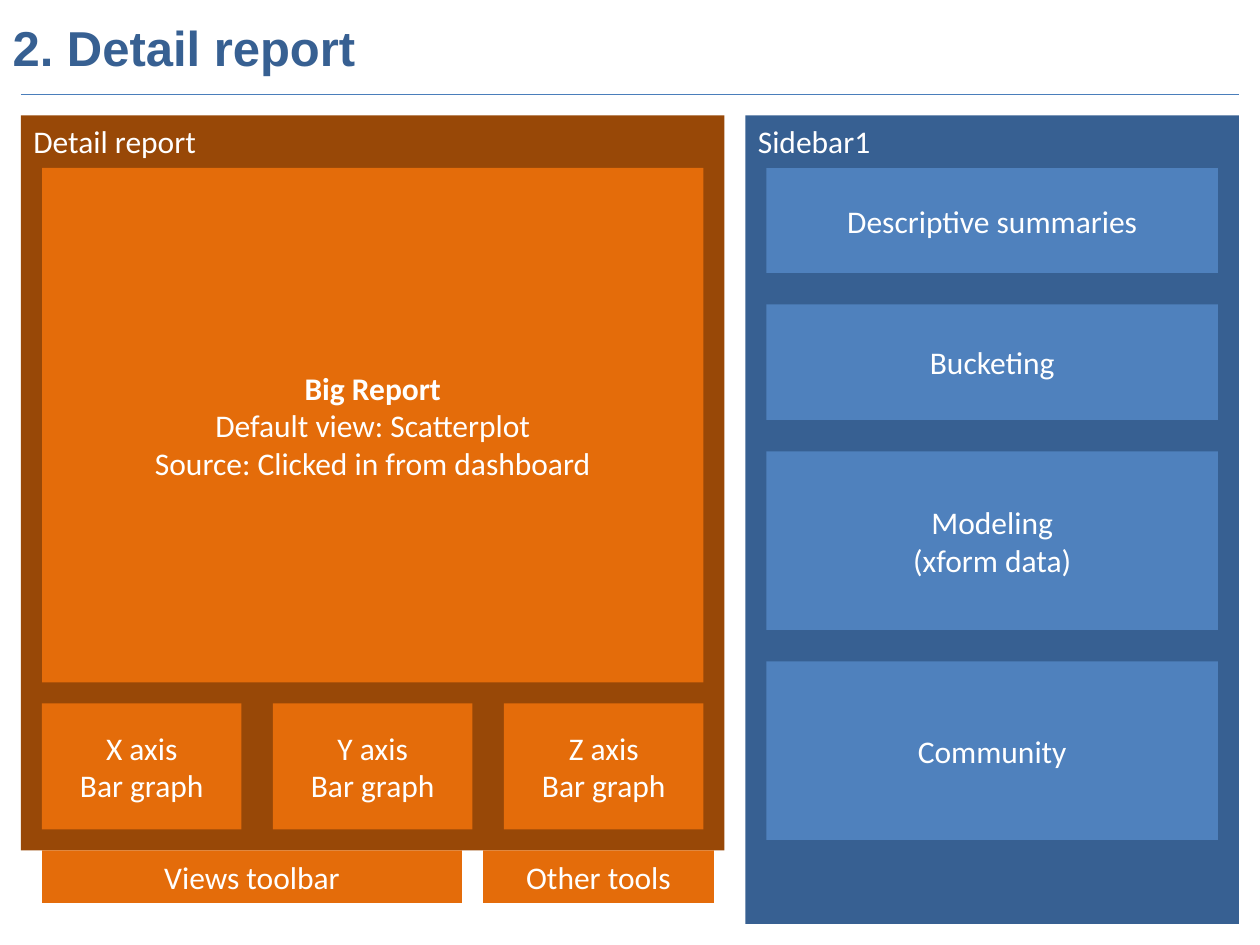
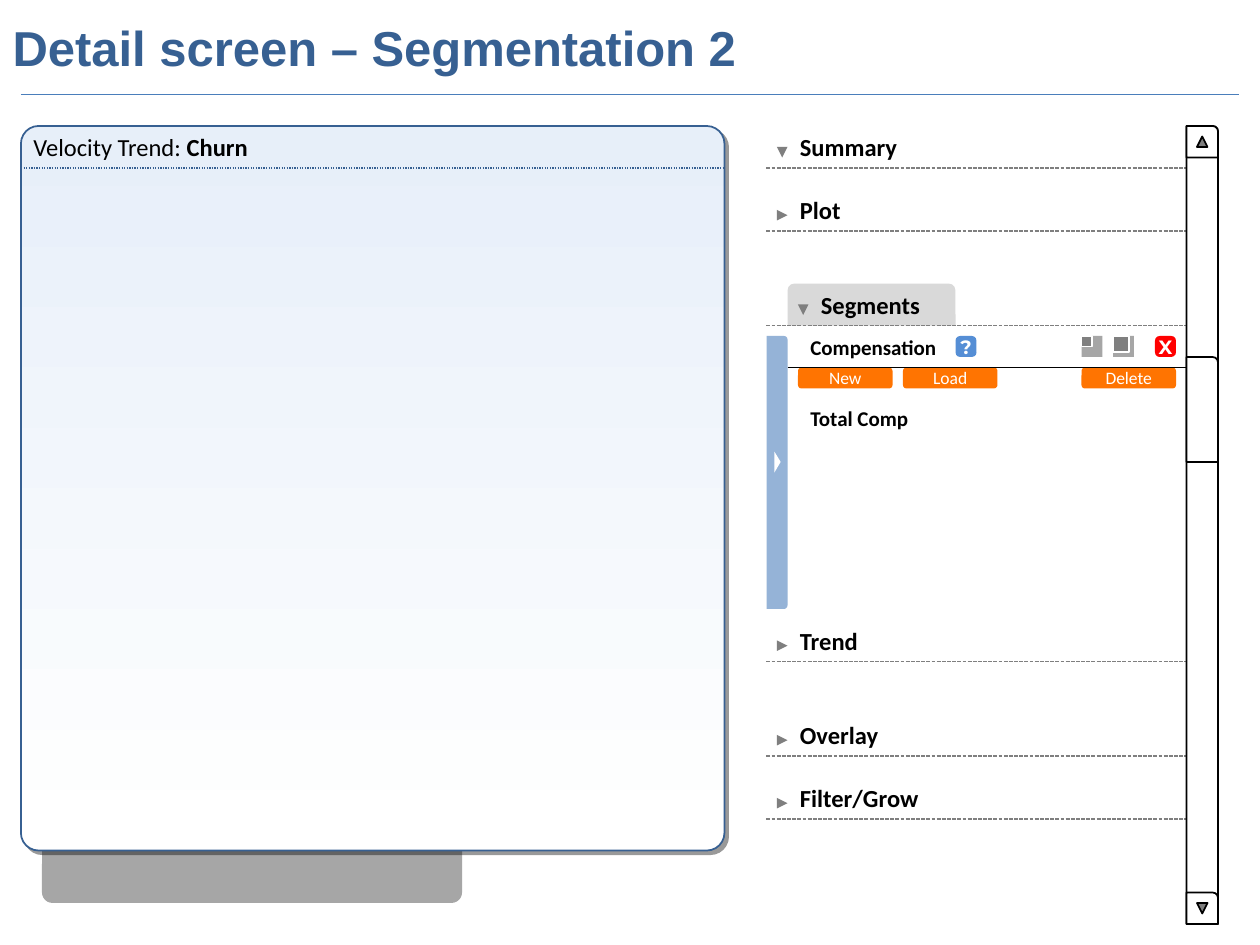
import pptx
import pptx.util
import pptx.dml.color
import pptx.enum.dml
import pptx.enum.shapes
import pptx.enum.text
import pptx.oxml.ns
from lxml import etree

COLORS = {
    "navy": "376092", "blue": "4F81BD", "rule": "4A7EBB", "sky": "558ED5",
    "pale": "95B3D7", "ice": "E7EFF9", "brown": "984807", "orange": "E46C0A",
    "button": "FF7401", "red": "FF0000", "black": "000000", "white": "FFFFFF",
    "light": "D9D9D9", "mid": "A6A6A6", "dark": "7F7F7F",
}
WIDTH, HEIGHT = pptx.util.Inches(10), pptx.util.Inches(7.5)
COLUMNS = 120  # square grid cells, 90 rows high
UP, RIGHT, DOWN = 0, 90, 180

Pt = pptx.util.Pt
SHAPE = pptx.enum.shapes.MSO_SHAPE
DASH = pptx.enum.dml.MSO_LINE
ANCHOR = pptx.enum.text.MSO_ANCHOR
ALIGN = pptx.enum.text.PP_ALIGN
qn = pptx.oxml.ns.qn


def cells(*counts):
    return [round(n * WIDTH / COLUMNS) for n in counts]


def rgb(name):
    return pptx.dml.color.RGBColor.from_string(COLORS[name])


def style_runs(tf, size, color, bold=False, font="Calibri"):
    for p in tf.paragraphs:
        for r in p.runs:
            r.font.name, r.font.size, r.font.bold = font, Pt(size), bold
            r.font.color.rgb = rgb(color)


def add_rule(s, x1, x2, y, color, dash=None):
    x1, x2, y = cells(x1, x2, y)
    line = s.shapes.add_connector(
        pptx.enum.shapes.MSO_CONNECTOR.STRAIGHT, x1, y, x2, y)
    line.line.color.rgb = rgb(color)
    line.line.width = Pt(0.75)
    if dash:
        line.line.dash_style = dash
    etree.SubElement(line._element.spPr, qn("a:effectLst"))
    return line


def add_block(s, x, y, w, h, fill, kind=SHAPE.RECTANGLE, line=None,
              radius=None, turn=0):
    sp = s.shapes.add_shape(kind, *cells(x, y, w, h))
    sp.shadow.inherit = False
    sp.rotation = turn
    sp.fill.solid()
    sp.fill.fore_color.rgb = rgb(fill)
    if line:
        sp.line.color.rgb = rgb(line)
        sp.line.width = Pt(1)
    else:
        sp.line.fill.background()
    if radius is not None:
        sp.adjustments[0] = radius
    return sp


def add_labelled_block(s, x, y, w, h, fill, text, size=18, **shape_style):
    sp = add_block(s, x, y, w, h, fill, **shape_style)
    sp.text_frame.text = text
    for p in sp.text_frame.paragraphs:
        p.alignment = ALIGN.CENTER
    sp.text_frame.vertical_anchor = ANCHOR.MIDDLE
    style_runs(sp.text_frame, size, "white")
    return sp


def add_frame(s, x, y, w, h, fill, caption):
    """Large area with its caption in the top left corner."""
    sp = add_labelled_block(s, x, y, w, h, fill, caption)
    sp.text_frame.vertical_anchor = ANCHOR.TOP
    sp.text_frame.paragraphs[0].alignment = ALIGN.LEFT


def add_label(s, x, y, w, text, size=14, bold=True):
    tb = s.shapes.add_textbox(*cells(x, y, w, 4))
    tf = tb.text_frame
    tf.text = text
    tf.word_wrap = True
    tf.auto_size = pptx.enum.text.MSO_AUTO_SIZE.SHAPE_TO_FIT_TEXT
    style_runs(tf, size, "black", bold)
    return tf


def add_triangle(s, x, y, direction, line=None):
    add_block(s, x, y, 1, 1, "dark", SHAPE.ISOSCELES_TRIANGLE, line,
              turn=direction)


def add_section(s, name, row, direction=RIGHT, indent=0):
    """Collapsible sidebar heading resting on a dashed rule at the given row."""
    add_label(s, 75 + indent, row - 4, 23, name)
    add_rule(s, 73, 116, row, "dark", DASH.SQUARE_DOT)
    add_triangle(s, 74 + indent, row - 2, direction)


def add_badge(s, x, y, fill, text):
    sp = add_labelled_block(s, x, y, 2, 2, fill, text,
                            kind=SHAPE.ROUNDED_RECTANGLE, radius=0.22)
    tf = sp.text_frame
    tf.margin_left = tf.margin_right = tf.margin_top = tf.margin_bottom = 0
    style_runs(tf, 11, "white", True, "Montserrat")


def add_window_icon(s, x, y, inner_w, inner_h):
    add_block(s, x, y, 2, 2, "mid")
    add_block(s, x, y, inner_w, inner_h, "dark", line="white")


def add_scrollbar(s, x, y, w, h, thumb_y, thumb_h):
    end = y + h - w
    for top, height in ((y, h), (y, w), (end, w), (thumb_y, thumb_h)):
        add_block(s, x, top, w, height, "white",
                  SHAPE.ROUND_1_RECTANGLE, "black")
    add_triangle(s, x + 1, y + 1, UP, "black")
    add_triangle(s, x + 1, end + 1, DOWN, "black")


def add_chart_panel(s, x, y, w, h):
    sp = add_block(s, x, y, w, h, "white", SHAPE.ROUNDED_RECTANGLE, "navy",
                   radius=0.025)
    sp.fill.gradient()
    sp.fill.gradient_angle = 270
    for stop, color in zip(sp.fill.gradient_stops, ("ice", "white")):
        stop.color.rgb = rgb(color)
    effects = sp._element.spPr.find(qn("a:effectLst"))
    shadow = etree.SubElement(effects, qn("a:outerShdw"), blurRad="0",
                              dist=str(Pt(3)), dir="2700000", algn="tl",
                              rotWithShape="0")
    color = etree.SubElement(shadow, qn("a:srgbClr"), val=COLORS["black"])
    etree.SubElement(color, qn("a:alpha"), val="40000")


def add_titled_slide(prs, title):
    s = prs.slides.add_slide(prs.slide_layouts[5])
    sp = s.shapes.title
    sp.left, sp.top, sp.width, sp.height = cells(0, 0, 91, 9)
    sp.text_frame.text = title
    sp.text_frame.vertical_anchor = ANCHOR.MIDDLE
    sp.text_frame.paragraphs[0].alignment = ALIGN.LEFT
    style_runs(sp.text_frame, 28, "navy", True, "Arial")
    add_rule(s, 2, 118, 9, "rule")
    return s


def build_report_layout(prs):
    s = add_titled_slide(prs, "2. Detail report")
    add_frame(s, 2, 11, 67, 70, "brown", "Detail report")
    report = add_labelled_block(
        s, 4, 16, 63, 49, "orange",
        "Big Report\nDefault view: Scatterplot\n"
        "Source: Clicked in from dashboard")
    report.text_frame.paragraphs[0].runs[0].font.bold = True
    for i, axis in enumerate("XYZ"):
        add_labelled_block(s, 4 + 22 * i, 67, 19, 12, "orange",
                           f"{axis} axis\nBar graph")
    add_labelled_block(s, 4, 81, 40, 5, "orange", "Views toolbar")
    add_labelled_block(s, 46, 81, 22, 5, "orange", "Other tools")

    add_frame(s, 71, 11, 47, 77, "navy", "Sidebar1")
    row = 16
    for text, height in (("Descriptive summaries", 10), ("Bucketing", 11),
                         ("Modeling\n(xform data)", 17), ("Community", 17)):
        add_labelled_block(s, 73, row, 43, height, "blue", text)
        row += height + 3


def build_segment_editor(s):
    add_block(s, 75, 27, 16, 4, "light", SHAPE.ROUND_2_SAME_RECTANGLE)
    add_section(s, "Segments", 31, DOWN, indent=2)
    # Both handle parts are laid out flat, then turned about their centres.
    add_block(s, 61, 44, 26, 2, "pale", SHAPE.ROUND_2_SAME_RECTANGLE,
              turn=RIGHT)
    add_block(s, 73.05, 43.7, 2, 0.6, "white", SHAPE.ISOSCELES_TRIANGLE,
              turn=RIGHT)
    add_window_icon(s, 103, 32, 1, 1)
    add_window_icon(s, 106, 32, 1.5, 1.5)
    add_label(s, 76, 31.3, 25, "Compensation", 12)
    add_badge(s, 91, 32, "sky", "?")
    add_badge(s, 110, 32, "red", "X")
    for x, text in ((76, "New"), (86, "Load"), (103, "Delete")):
        add_labelled_block(s, x, 35, 9, 2, "button", text, 10,
                           kind=SHAPE.ROUNDED_RECTANGLE)
    add_rule(s, 75, 113, 35, "black")
    add_label(s, 76, 38, 36, "Total Comp", 12)


def build_segmentation_screen(prs):
    s = add_titled_slide(prs, "Detail screen – Segmentation 2")
    add_block(s, 4, 80, 40, 6, "mid", SHAPE.ROUNDED_RECTANGLE)
    add_chart_panel(s, 2, 12, 67, 69)
    tf = add_label(s, 2, 12, 58, "Velocity Trend: ", bold=False)
    tf.paragraphs[0].add_run().text = "Churn"
    style_runs(tf, 14, "black")
    tf.paragraphs[0].runs[1].font.bold = True
    add_rule(s, 2, 69, 16, "navy", DASH.ROUND_DOT)

    add_section(s, "Summary", 16, DOWN)
    for name, row in (("Plot", 22), ("Trend", 63), ("Overlay", 72),
                      ("Filter/Grow", 78)):
        add_section(s, name, row)
    build_segment_editor(s)
    add_scrollbar(s, 113, 12, 3, 76, thumb_y=34, thumb_h=10)


def main():
    prs = pptx.Presentation()
    prs.slide_width, prs.slide_height = WIDTH, HEIGHT
    build_report_layout(prs)
    build_segmentation_screen(prs)
    prs.save("out.pptx")


if __name__ == "__main__":
    main()
